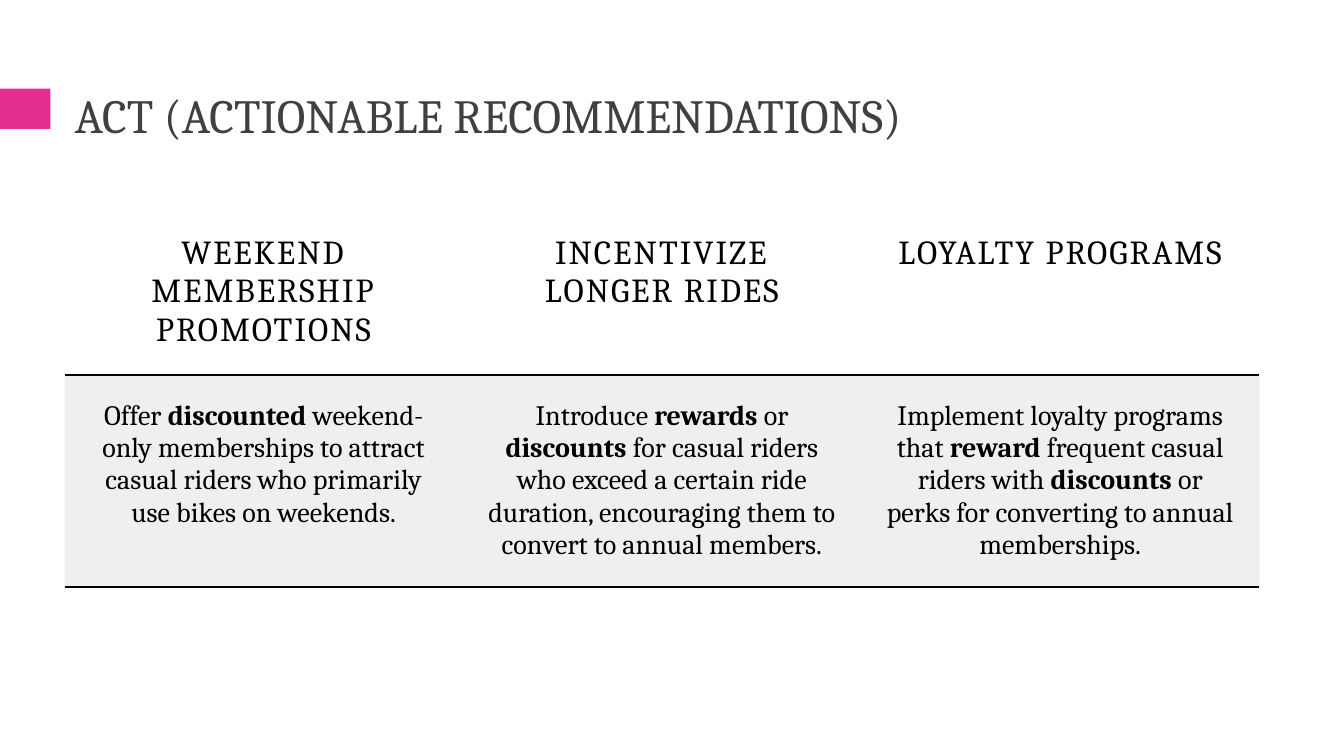
from lxml import etree
from pptx import Presentation
from pptx.dml.color import RGBColor
from pptx.enum import shapes, text
from pptx.oxml import ns
from pptx.util import Inches, Pt

TITLE = "ACT (ACTIONABLE RECOMMENDATIONS)"
RECOMMENDATIONS = [
    ("WEEKEND MEMBERSHIP PROMOTIONS",
     [("Offer ", False), ("discounted", True),
      (" weekend-only memberships to attract casual riders who primarily "
       "use bikes on weekends.", False)]),
    ("INCENTIVIZE LONGER RIDES",
     [("Introduce ", False), ("rewards", True), (" or ", False),
      ("discounts", True),
      (" for casual riders who exceed a certain ride duration, encouraging "
       "them to convert to annual members.", False)]),
    ("LOYALTY PROGRAMS",
     [("Implement loyalty programs that ", False), ("reward", True),
      (" frequent casual riders with ", False), ("discounts", True),
      (" or perks for converting to annual memberships.", False)]),
]
FONT = "Cambria"
PINK = RGBColor(0xE3, 0x2D, 0x91)
GREY = RGBColor(0x40, 0x40, 0x40)
BLACK = RGBColor(0, 0, 0)
BAND = RGBColor(0xB1, 0xB1, 0xBD)
BAND_ALPHA = 20
NO_GRID_STYLE = "{2D5ABB26-0587-4C30-8999-92F81FD0307C}"
LEFT, COL_W = 0.64, 3.95
ROW_HEIGHTS = (1.65, 1.51)
CELL_FORMAT = {
    **{f"margin_{side}": Inches(0.25) for side in ("left", "right", "top", "bottom")},
    "vertical_anchor": text.MSO_ANCHOR.TOP,
}


def add_run(p, words, size, color, bold=False, spacing=0):
    r = p.add_run()
    r.text = words
    for name, value in {"name": FONT, "size": Pt(size), "bold": bold}.items():
        setattr(r.font, name, value)
    r.font.color.rgb = color
    if spacing:
        r.font._element.set("spc", str(int(spacing * 100)))


def add_bottom_border(cell, width):
    line = etree.Element(ns.qn("a:lnB"), w=str(Pt(width)))
    fill = etree.SubElement(line, ns.qn("a:solidFill"))
    etree.SubElement(fill, ns.qn("a:srgbClr"), val=str(BLACK))
    cell._tc.get_or_add_tcPr().insert(0, line)


def fill_band(cell):
    cell.fill.solid()
    cell.fill.fore_color.rgb = BAND
    color = cell._tc.tcPr.find(".//" + ns.qn("a:srgbClr"))
    etree.SubElement(color, ns.qn("a:alpha"), val=str(BAND_ALPHA * 1000))


def add_title(s):
    title = s.shapes.title
    box = {"left": LEFT, "top": 0.77, "width": 12.06, "height": 0.81}
    for name, value in box.items():
        setattr(title, name, Inches(value))
    tf = title.text_frame
    tf.word_wrap = True
    tf.vertical_anchor = text.MSO_ANCHOR.MIDDLE
    p = tf.paragraphs[0]
    p.alignment = text.PP_ALIGN.LEFT
    p.line_spacing = 0.9
    add_run(p, TITLE, 34, GREY)


def add_recommendations(s):
    columns = len(RECOMMENDATIONS)
    frame = s.shapes.add_table(
        len(ROW_HEIGHTS), columns, Inches(LEFT), Inches(2.07),
        Inches(COL_W * columns), Inches(sum(ROW_HEIGHTS)))
    table = frame.table
    table.horz_banding = False
    table._tbl.tblPr.find(ns.qn("a:tableStyleId")).text = NO_GRID_STYLE
    for row, height in zip(table.rows, ROW_HEIGHTS):
        row.height = Inches(height)
    for c, (heading, body) in enumerate(RECOMMENDATIONS):
        table.columns[c].width = Inches(COL_W)
        head_cell, body_cell = table.cell(0, c), table.cell(1, c)
        head_cell.fill.background()
        fill_band(body_cell)
        for cell, width in ((head_cell, 1), (body_cell, 1.5)):
            for name, value in CELL_FORMAT.items():
                setattr(cell, name, value)
            add_bottom_border(cell, width)
            cell.text_frame.paragraphs[0].alignment = text.PP_ALIGN.CENTER
        add_run(head_cell.text_frame.paragraphs[0], heading, 24, BLACK, spacing=1.5)
        for words, bold in body:
            add_run(body_cell.text_frame.paragraphs[0], words, 20, BLACK, bold)


def main():
    prs = Presentation()
    prs.slide_width, prs.slide_height = Inches(13.33), Inches(7.5)
    s = prs.slides.add_slide(prs.slide_layouts[5])
    accent = s.shapes.add_shape(
        shapes.MSO_SHAPE.RECTANGLE, 0, Inches(0.88), Inches(0.5), Inches(0.4))
    accent.shadow.inherit = False
    accent.fill.solid()
    accent.fill.fore_color.rgb = PINK
    accent.line.fill.background()
    add_title(s)
    add_recommendations(s)
    prs.save("out.pptx")


if __name__ == "__main__":
    main()
